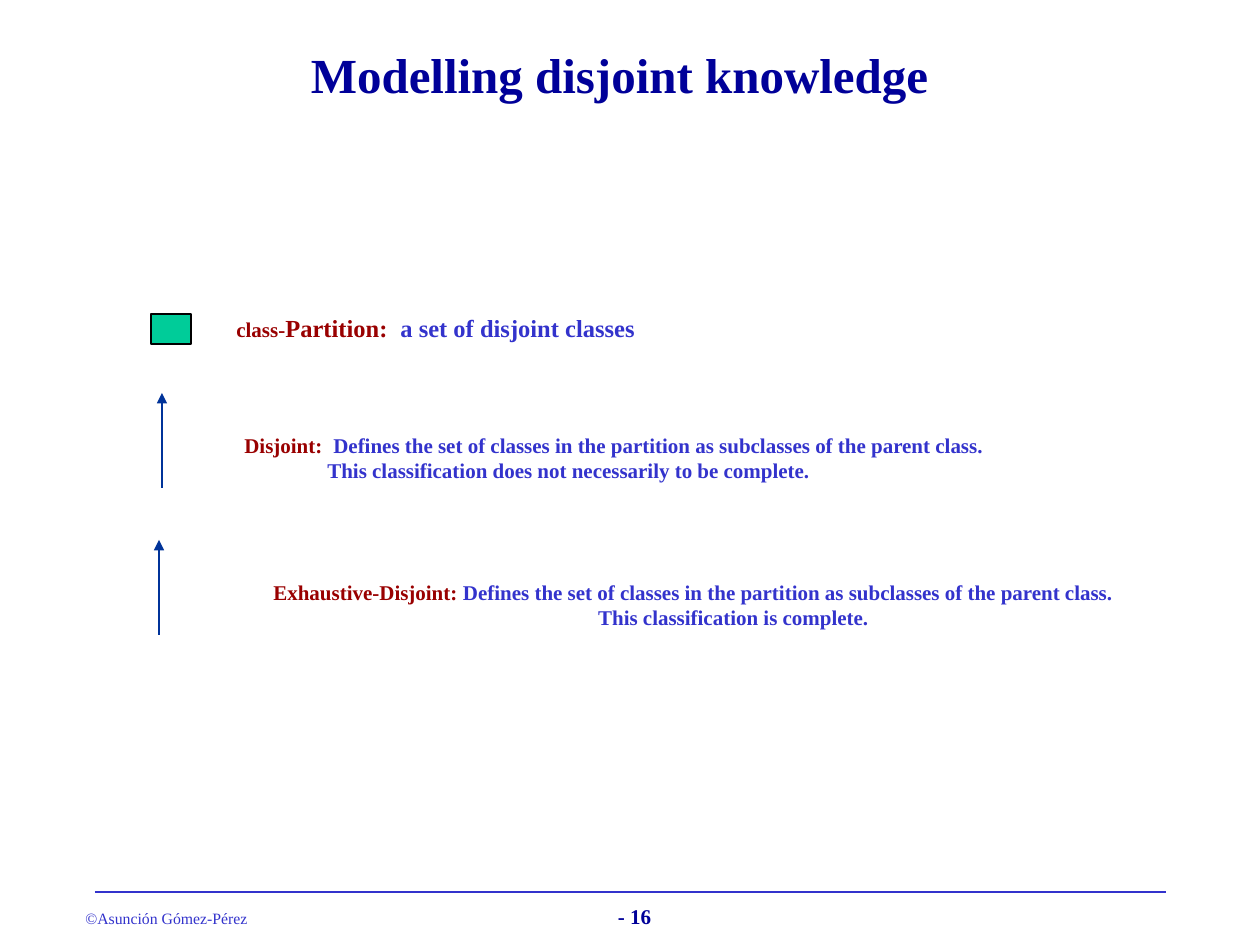
"""Build the slide on modelling disjoint knowledge."""
from dataclasses import dataclass

from lxml import etree
from pptx import Presentation
from pptx import util as u
from pptx.dml.color import RGBColor
from pptx.enum import shapes, text
from pptx.oxml.ns import qn

NAVY = RGBColor(0x00, 0x00, 0x99)
BLUE = RGBColor(0x33, 0x33, 0xCC)
STEEL = RGBColor(0x00, 0x33, 0x99)
RED = RGBColor(0x99, 0x00, 0x00)
GREEN = RGBColor(0x00, 0xCC, 0x99)
BLACK = RGBColor(0x00, 0x00, 0x00)
FACE = "Times New Roman"
LEFT, MID = text.PP_ALIGN.LEFT, text.PP_ALIGN.CENTER


@dataclass
class Run:
    words: str
    color: RGBColor
    size: int = 12


@dataclass
class Para:
    runs: list[Run]
    indent: int = 0
    tab: int = 0


@dataclass
class Box:
    x: int
    y: int
    w: int
    h: int
    paras: list[Para]
    align: text.PP_ALIGN = LEFT
    bold: bool = True
    anchor: text.MSO_ANCHOR = text.MSO_ANCHOR.TOP


@dataclass
class Line:
    x: int
    y: int
    x2: int
    y2: int
    color: RGBColor
    width: float = 0.75
    arrow: bool = True


LINES = [
    Line(95, 892, 1166, 892, BLUE, 1, False),
    Line(162, 488, 162, 393, STEEL),
    Line(159, 635, 159, 540, STEEL),
]
SCOPE = "Defines the set of classes in the partition as subclasses of the parent class."
BOXES = [
    Box(73, 903, 190, 32, [Para([Run("©Asunción Gómez-Pérez", BLUE, 9)])], bold=False),
    Box(496, 897, 266, 38, [Para([Run("- 16", NAVY)], indent=11)], MID),
    Box(84, 21, 1071, 105, [Para([Run("Modelling disjoint knowledge", NAVY, 28)])],
        MID, anchor=text.MSO_ANCHOR.MIDDLE),
    Box(224, 307, 428, 43, [
        Para([Run("class-", RED), Run("Partition:\t", RED, 14),
              Run("a set of disjoint classes", BLUE, 14)], tab=164)]),
    Box(232, 426, 770, 63, [
        Para([Run("Disjoint:\t", RED), Run(SCOPE, BLUE)], tab=89),
        Para([Run("This classification does not necessarily to be complete.", BLUE)],
             indent=83)]),
    Box(258, 573, 871, 63, [
        Para([Run("Exhaustive-Disjoint: ", RED), Run(SCOPE, BLUE)]),
        Para([Run("This classification is complete.", BLUE)], indent=80)], MID),
]


def px(n: int) -> u.Emu:
    """Turn px into EMU."""
    return u.Emu(round(n * 914400 / 126))


def draw_line(slide, line: Line) -> None:
    """Draw a rule or an arrow."""
    link = slide.shapes.add_connector(
        shapes.MSO_CONNECTOR.STRAIGHT,
        px(line.x), px(line.y), px(line.x2), px(line.y2))
    link.line.color.rgb = line.color
    link.line.width = u.Pt(line.width)
    if line.arrow:
        etree.SubElement(link.line._get_or_add_ln(), qn("a:tailEnd"), type="triangle")
    etree.SubElement(link._element.spPr, qn("a:effectLst"))


def fill_para(par, para: Para, box: Box) -> None:
    """Write the runs of one paragraph."""
    par.alignment = box.align
    par.font.name = FACE
    par.font.bold = box.bold
    props = par._p.get_or_add_pPr()
    if para.indent:
        props.set("marL", str(px(para.indent)))
        props.set("indent", "0")
    if para.tab:
        tabs = etree.Element(qn("a:tabLst"))
        etree.SubElement(tabs, qn("a:tab"), pos=str(px(para.tab)), algn="l")
        props.insert(0, tabs)
    for item in para.runs:
        run = par.add_run()
        run.text = item.words
        run.font.size = u.Pt(item.size)
        run.font.color.rgb = item.color


def draw_box(slide, box: Box) -> None:
    """Draw a text box."""
    frame = slide.shapes.add_textbox(
        px(box.x), px(box.y), px(box.w), px(box.h)).text_frame
    frame.word_wrap = True
    frame.vertical_anchor = box.anchor
    for i, para in enumerate(box.paras):
        fill_para(frame.add_paragraph() if i else frame.paragraphs[0], para, box)


def draw_key(slide) -> None:
    """Draw the green key of the class partition."""
    key = slide.shapes.add_shape(
        shapes.MSO_SHAPE.RECTANGLE, px(151), px(314), px(40), px(30))
    key.shadow.inherit = False
    key.fill.solid()
    key.fill.fore_color.rgb = GREEN
    key.line.color.rgb = BLACK
    key.line.width = u.Pt(0.75)


def main() -> None:
    """Build and save the deck."""
    deck = Presentation()
    deck.slide_width, deck.slide_height = px(1260), px(945)
    slide = deck.slides.add_slide(deck.slide_layouts[6])
    for line in LINES:
        draw_line(slide, line)
    draw_key(slide)
    for box in BOXES:
        draw_box(slide, box)
    deck.save("out.pptx")


if __name__ == "__main__":
    main()
